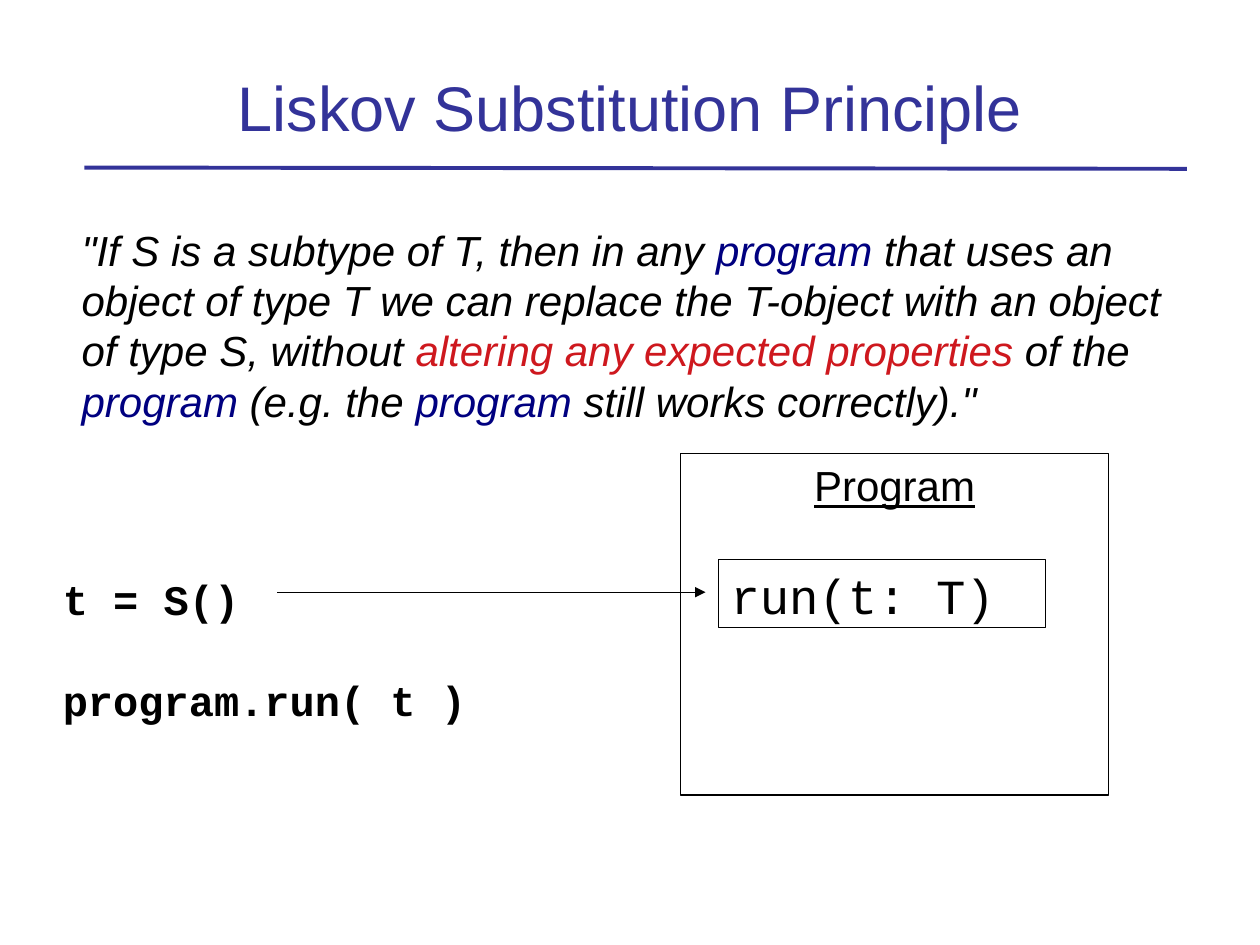
from pptx import Presentation
from pptx.dml.color import RGBColor
from pptx.enum.shapes import MSO_CONNECTOR, MSO_SHAPE
from pptx.enum.text import MSO_ANCHOR, PP_ALIGN
from pptx.oxml.ns import qn
from pptx.util import Inches, Pt
from lxml.etree import SubElement

BLACK, INDIGO, NAVY, RED = "000000", "333399", "000080", "CE181E"


def color(value):
    return RGBColor.from_string(value)


def add_span(para, text, size, font="Arial", ink=BLACK):
    span = para.add_run()
    span.text = text
    span.font.size = Pt(size)
    span.font.name = font
    span.font.color.rgb = color(ink)
    return span


deck = Presentation()
deck.slide_width, deck.slide_height = Inches(10), Inches(7.5)
page = deck.slides.add_slide(deck.slide_layouts[6])

title = page.shapes.add_textbox(Inches(0.67), Inches(0.25), Inches(8.66), Inches(0.94))
title.text_frame.word_wrap = True
title.text_frame.vertical_anchor = MSO_ANCHOR.BOTTOM
para = title.text_frame.paragraphs[0]
para.alignment = PP_ALIGN.CENTER
add_span(para, "Liskov Substitution Principle", 36, ink=INDIGO)

quote = page.shapes.add_textbox(Inches(0.55), Inches(1.73), Inches(8.94), Inches(5.07))
quote.text_frame.word_wrap = True
para = quote.text_frame.paragraphs[0]
para.space_before = Pt(6)
for text, ink in [
    ('"If S is a subtype of T, then in any ', BLACK),
    ("program", NAVY),
    (" that uses an object of type T we can replace the T-object"
     " with an object of type S, without ", BLACK),
    ("altering any expected properties", RED),
    (" of the ", BLACK),
    ("program", NAVY),
    (" (e.g. the ", BLACK),
    ("program", NAVY),
    (' still works correctly)."', BLACK),
]:
    add_span(para, text, 24, ink=ink).font.italic = True

for bounds, text, size, font, align, underline in [
    ((5.4, 3.6, 3.4, 2.71), "Program", 24, "Arial", PP_ALIGN.CENTER, True),
    ((5.7, 4.44, 2.6, 0.54), "run(t: T)", 28, "Courier New", PP_ALIGN.LEFT, False),
]:
    box = page.shapes.add_shape(MSO_SHAPE.RECTANGLE, *map(Inches, bounds))
    box.shadow.inherit = False
    box.fill.background()
    box.line.color.rgb = color(BLACK)
    box.line.width = Pt(0.75)
    box.text_frame.word_wrap = True
    box.text_frame.vertical_anchor = MSO_ANCHOR.TOP
    para = box.text_frame.paragraphs[0]
    para.alignment = align
    add_span(para, text, size, font).font.underline = underline

code = page.shapes.add_textbox(Inches(0.4), Inches(4.5), Inches(4.3), Inches(1.23))
code.text_frame.word_wrap = True
first = code.text_frame.paragraphs[0]
second = code.text_frame.add_paragraph()
second.space_before = Pt(29)
for para, text in [(first, "t = S()"), (second, "program.run( t )")]:
    add_span(para, text, 24, "Courier New").font.bold = True

for ends, ink, width, arrow in [
    ((0.67, 1.33, 9.42, 1.34), INDIGO, 2.24, False),
    ((2.2, 4.7, 5.6, 4.7), BLACK, 0.75, True),
]:
    line = page.shapes.add_connector(MSO_CONNECTOR.STRAIGHT, *map(Inches, ends))
    line.line.color.rgb = color(ink)
    line.line.width = Pt(width)
    properties = line._element.spPr
    SubElement(properties, qn("a:effectLst"))
    if arrow:
        SubElement(properties.find(qn("a:ln")), qn("a:tailEnd"), type="triangle")

deck.save("out.pptx")
